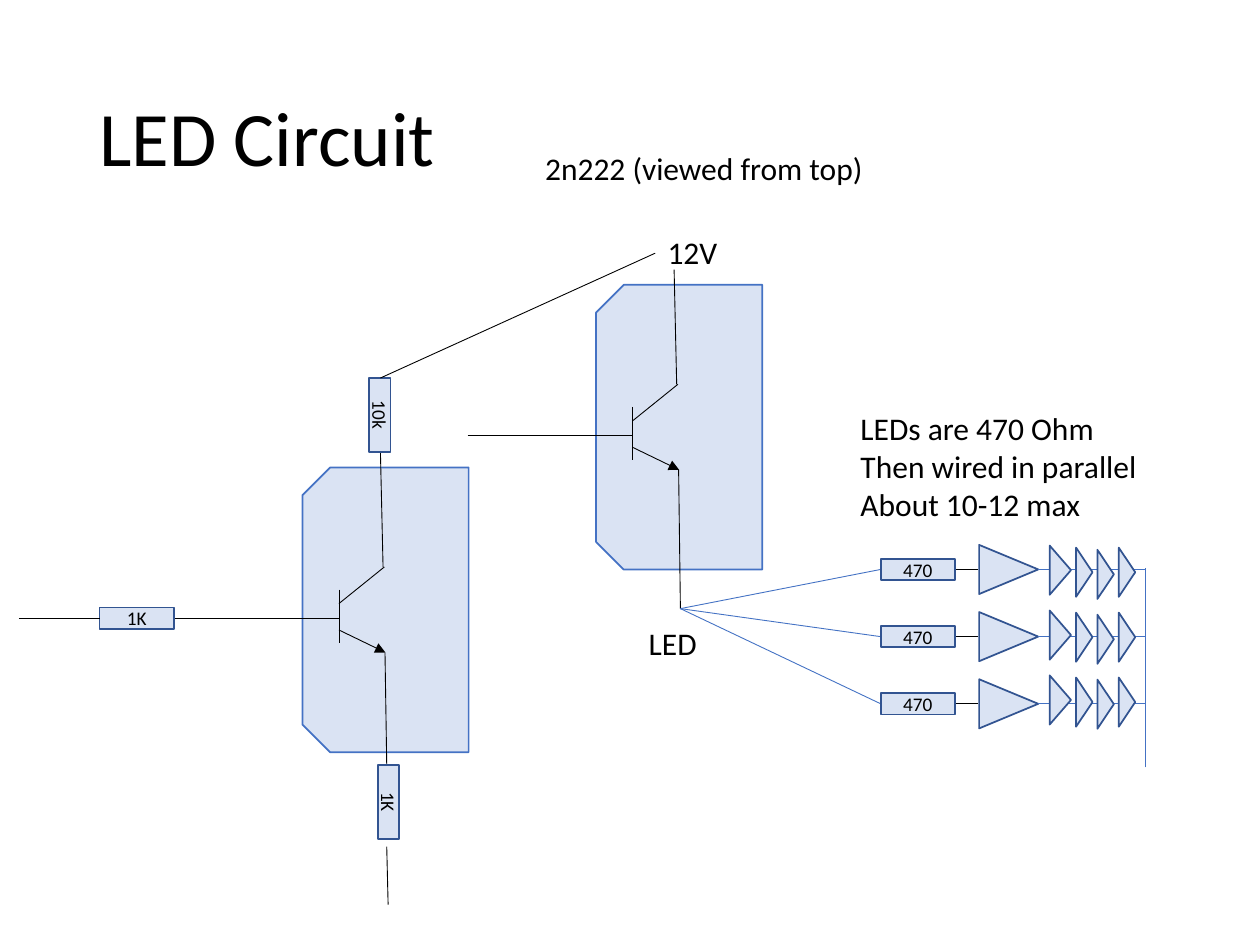
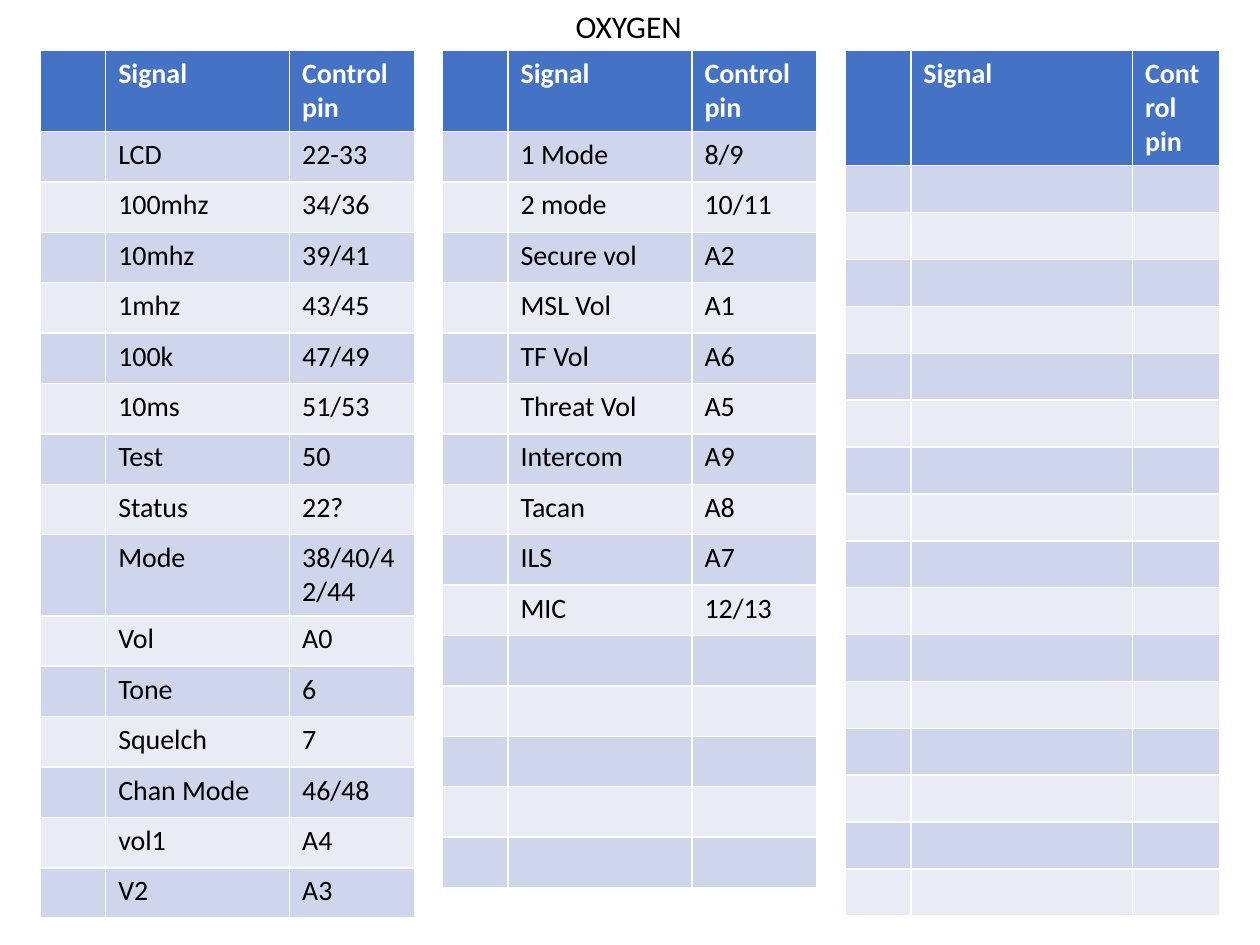
from itertools import zip_longest
from lxml.etree import SubElement
from pptx import Presentation
from pptx.dml.color import RGBColor
from pptx.enum.shapes import MSO_CONNECTOR, MSO_SHAPE
from pptx.enum.text import MSO_ANCHOR, MSO_AUTO_SIZE, PP_ALIGN
from pptx.oxml.ns import qn
from pptx.util import Pt

COLORS = {name: RGBColor.from_string(value) for name, value in {
    "black": "000000", "white": "FFFFFF", "accent": "4472C4",
    "part": "DAE3F3", "part_line": "325491",
    "odd_row": "CFD5EA", "even_row": "E9EBF5"}.items()}
FONT = "Calibri"


def add_wire(start_x, start_y, end_x, end_y, color="black", arrow=False):
    """Draw a thin straight wire on the circuit slide."""
    wire = circuit.shapes.add_connector(
        MSO_CONNECTOR.STRAIGHT, Pt(start_x), Pt(start_y), Pt(end_x), Pt(end_y))
    wire.line.color.rgb = COLORS[color]
    wire.line.width = Pt(0.5)
    if arrow:
        SubElement(wire.line._get_or_add_ln(), qn("a:tailEnd"), type="triangle")
    SubElement(wire._element.spPr, qn("a:effectLst"))


def add_part(kind, center_x, center_y, width, height, rotation=0, label="", line="part_line"):
    """Draw a component around its centre, with an optional label."""
    part = circuit.shapes.add_shape(
        kind, Pt(center_x - width / 2), Pt(center_y - height / 2), Pt(width), Pt(height))
    part.rotation = rotation
    part.shadow.inherit = False
    part.fill.solid()
    part.fill.fore_color.rgb = COLORS["part"]
    part.line.color.rgb = COLORS[line]
    part.line.width = Pt(1)
    if label:
        part.text_frame.text = label
        paragraph = part.text_frame.paragraphs[0]
        paragraph.alignment = PP_ALIGN.CENTER
        font = paragraph.runs[0].font
        font.name, font.size, font.color.rgb = FONT, Pt(11), COLORS["black"]


presentation = Presentation()
presentation.slide_width, presentation.slide_height = Pt(720), Pt(540)
title_layout = presentation.slide_layouts[5]
circuit = presentation.slides.add_slide(title_layout)
pinout = presentation.slides.add_slide(title_layout)

# Titles: slide, text, left, top, width, height, size, line spacing, wrap
for slide, text, left, top, width, height, size, spacing, wrap in [
        (circuit, "LED Circuit", 49.5, 28.8, 621, 104.4, 44, 0.9, True),
        (pinout, "OXYGEN", 321.8, 0, 75.6, 29.1, 18, 1, False)]:
    title = slide.shapes.title
    title.left, title.top, title.width, title.height = Pt(left), Pt(top), Pt(width), Pt(height)
    title.text_frame.text = text
    title.text_frame.word_wrap = wrap
    title.text_frame.auto_size = MSO_AUTO_SIZE.NONE
    title.text_frame.vertical_anchor = MSO_ANCHOR.MIDDLE
    paragraph = title.text_frame.paragraphs[0]
    paragraph.alignment = PP_ALIGN.LEFT
    paragraph.line_spacing = spacing
    font = paragraph.runs[0].font
    font.name, font.size, font.color.rgb = FONT, Pt(size), COLORS["black"]

# Transistors: left and top of the body, lower end of the emitter lead
for left, top, emitter_end in [(340.6, 162.7, 347.8), (172.8, 267.1, 437)]:
    add_part(MSO_SHAPE.SNIP_2_SAME_RECTANGLE, left + 47.5, top + 81.4, 162.7, 95, 270,
             line="accent")
    bar = left + 20.9
    add_wire(left - 73.4, top + 86.4, bar, top + 86.4)
    add_wire(bar, top + 69.8, bar, top + 100.1)
    add_wire(bar, top + 77.8, left + 46.8, top + 56.9)
    add_wire(bar, top + 92.9, left + 47.5, top + 105.8, arrow=True)
    add_wire(left + 46.1, top + 56.9, left + 44.6, top - 8.6)
    add_wire(left + 48.2, emitter_end, left + 47.2, top + 105.8)

# Resistors and leads around the first transistor
RESISTOR = (42.5, 12.2)
for label, center_x, center_y, rotation in [
        ("10k", 217.1, 237.2, 90), ("1K", 78.1, 353.2, 0), ("1K", 222.1, 458.3, 90)]:
    add_part(MSO_SHAPE.RECTANGLE, center_x, center_y, *RESISTOR, rotation, label)
add_wire(374.4, 144.7, 217.4, 216)
add_wire(10.8, 353.5, 56.9, 353.5)
add_wire(221.8, 517, 221, 483.8)

# Three parallel LED strings joined by a rail
RAIL = 654.5
add_wire(RAIL, 438.5, RAIL, 324.7, "accent")
for row in range(3):
    string_y = 325.4 + 38.4 * row
    led_y = 325.8 + 37.1 * row
    add_wire(388.8, 347.8, 503.3, string_y, "accent")
    add_part(MSO_SHAPE.RECTANGLE, 524.5, string_y, *RESISTOR, label="470")
    add_wire(546.5, string_y, 558.7, string_y)
    add_part(MSO_SHAPE.ISOSCELES_TRIANGLE, 576.4, string_y, 28.1, 33.8, 90)
    add_wire(593.3, string_y, RAIL, string_y, "accent")
    for center_x, drop, depth in [
            (605.9, 0, 12.2), (619.6, 1.2, 9.4), (631.8, 2.4, 9.4), (644, 1.2, 9.4)]:
        add_part(MSO_SHAPE.ISOSCELES_TRIANGLE, center_x, led_y + drop, 28.1, depth, 90)

# Free labels: text, left, top, width, height
for text, left, top, width, height in [
        ("12V", 374.4, 129.6, 43.2, 29.1),
        ("2n222 (viewed from top)", 304.4, 81.4, 198, 29.1),
        ("LED", 363.6, 352.8, 42.5, 29.1),
        ("LEDs are 470 Ohm\nThen wired in parallel\nAbout 10-12 max", 484.6, 230.4, 174.2, 72.7)]:
    label = circuit.shapes.add_textbox(Pt(left), Pt(top), Pt(width), Pt(height))
    label.text_frame.text = text
    label.text_frame.word_wrap = False
    label.text_frame.auto_size = MSO_AUTO_SIZE.SHAPE_TO_FIT_TEXT
    for paragraph in label.text_frame.paragraphs:
        font = paragraph.runs[0].font
        font.name, font.size, font.color.rgb = FONT, Pt(18), COLORS["black"]

# Pin tables: left, column widths, header height, row height, row count, signals
HEADER = ("", "Signal", "Control pin")
radio_pins = [
    ("LCD", "22-33"), ("100mhz", "34/36"), ("10mhz", "39/41"), ("1mhz", "43/45"),
    ("100k", "47/49"), ("10ms", "51/53"), ("Test", "50"), ("Status", "22?"),
    ("Mode", "38/40/42/44"), ("Vol", "A0"), ("Tone", "6"), ("Squelch", "7"),
    ("Chan Mode", "46/48"), ("vol1", "A4"), ("V2", "A3")]
audio_pins = [
    ("1 Mode", "8/9"), ("2 mode", "10/11"), ("Secure vol", "A2"), ("MSL Vol", "A1"),
    ("TF Vol", "A6"), ("Threat Vol", "A5"), ("Intercom", "A9"), ("Tacan", "A8"),
    ("ILS", "A7"), ("MIC", "12/13")]
for left, widths, header_height, row_height, row_count, pins in [
        (23, (37.4, 105.1, 71.3), 28.8, 28.8, 15, radio_pins),
        (252.9, (37.4, 105.1, 71.3), 28.8, 28.8, 15, audio_pins),
        (483.1, (37.4, 126.7, 49.7), 44.6, 25.2, 16, [])]:
    table = pinout.shapes.add_table(
        row_count + 1, 3, Pt(left), Pt(28.8), Pt(sum(widths)),
        Pt(header_height + row_count * row_height)).table
    for column, width in zip(table.columns, widths):
        column.width = Pt(width)
    rows = [HEADER] + [("", *pin) for pin in pins]
    for index, (row, texts) in enumerate(zip_longest(table.rows, rows, fillvalue=("", "", ""))):
        is_header = index == 0
        row.height = Pt(header_height if is_header else row_height)
        fill = "accent" if is_header else "odd_row" if index % 2 else "even_row"
        for cell, text in zip(row.cells, texts):
            cell.fill.solid()
            cell.fill.fore_color.rgb = COLORS[fill]
            paragraph = cell.text_frame.paragraphs[0]
            if text:
                paragraph.text = text
                font = paragraph.runs[0].font
                font.name, font.size, font.bold = FONT, Pt(16), is_header
                font.color.rgb = COLORS["white" if is_header else "black"]
            else:
                SubElement(paragraph._p, qn("a:endParaRPr"), sz="1600")

presentation.save("out.pptx")
